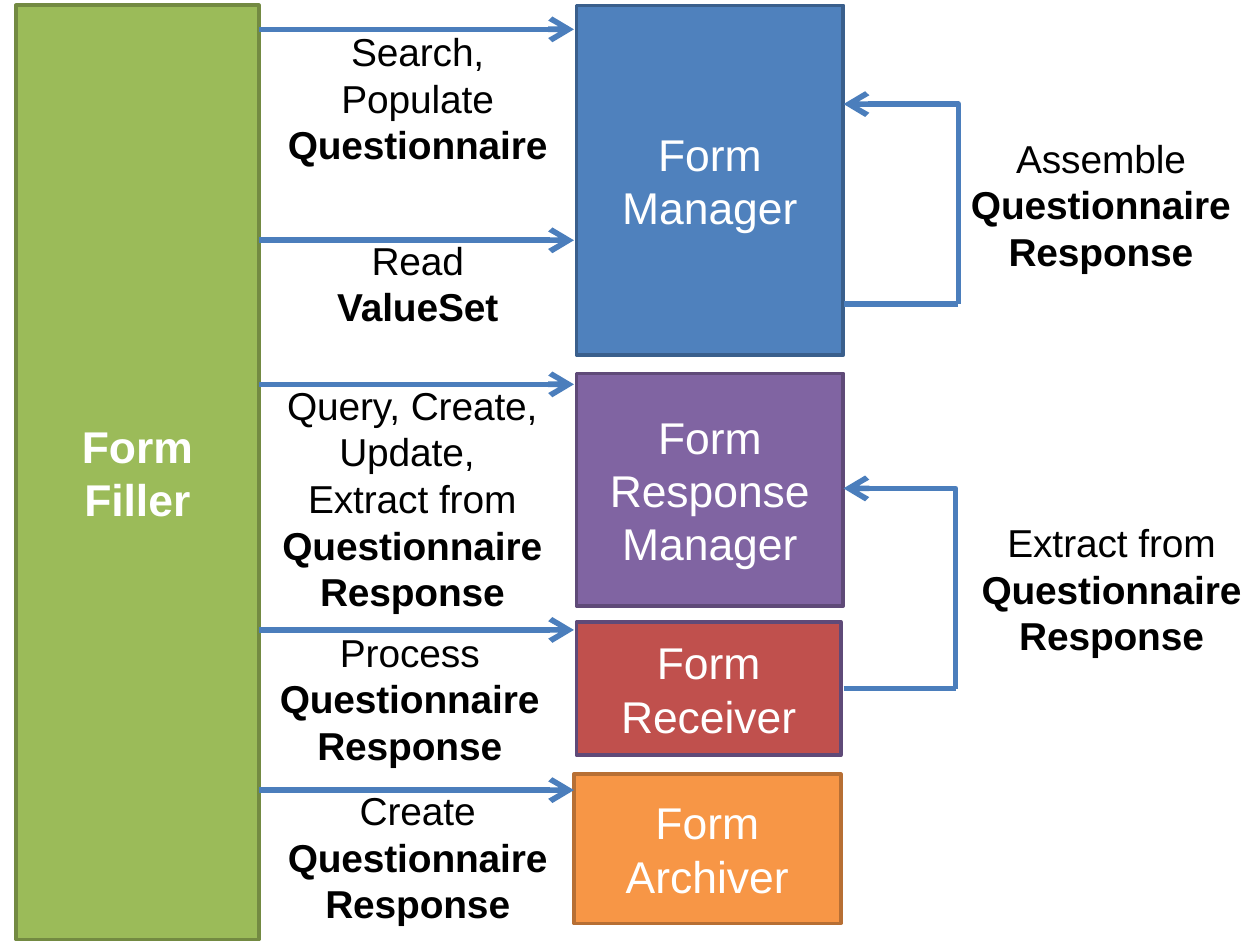
from dataclasses import dataclass

from lxml import etree
from pptx import Presentation
from pptx import util as u
from pptx.dml.color import RGBColor
from pptx.enum import shapes, text
from pptx.oxml.ns import qn


@dataclass(frozen=True)
class Theme:
    font: str = "Arial"
    box_size: float = 12
    label_size: float = 10.5
    box_line: float = 1
    flow_line: float = 1.5
    light: str = "FFFFFF"
    dark: str = "000000"
    flow: str = "4B7EBC"
    green: tuple = ("9BBB59", "738A42")
    blue: tuple = ("4F81BD", "3A5F8C")
    purple: tuple = ("8064A2", "5F4A78")
    red: tuple = ("C0504D", "5F4A78")
    orange: tuple = ("F79646", "B76F34")


class Diagram:
    def __init__(self, slide, theme):
        self.s, self.theme = slide, theme

    def frame(self, sp):
        """Apply the shared text frame format."""
        tf = sp.text_frame
        fmt = {"word_wrap": True, "vertical_anchor": text.MSO_ANCHOR.MIDDLE,
               "margin_left": u.Inches(0.07), "margin_right": u.Inches(0.07),
               "margin_top": u.Inches(0.04), "margin_bottom": u.Inches(0.04)}
        for name, value in fmt.items():
            setattr(tf, name, value)
        return tf

    def run(self, p, words, size, color, bold=False):
        p.alignment = text.PP_ALIGN.CENTER
        r = p.add_run()
        r.text = words
        fmt = {"name": self.theme.font, "size": u.Pt(size), "bold": bold}
        for name, value in fmt.items():
            setattr(r.font, name, value)
        r.font.color.rgb = RGBColor.from_string(color)

    def box(self, words, at, colors, bold=False):
        sp = self.s.shapes.add_shape(shapes.MSO_SHAPE.RECTANGLE, *map(u.Inches, at))
        sp.shadow.inherit = False
        fill, line = map(RGBColor.from_string, colors)
        sp.fill.solid()
        sp.fill.fore_color.rgb = fill
        sp.line.color.rgb = line
        sp.line.width = u.Pt(self.theme.box_line)
        p = self.frame(sp).paragraphs[0]
        self.run(p, words, self.theme.box_size, self.theme.light, bold)

    def label(self, action, resource, at, lead=None):
        """Write an action with its bold resource below, after an optional lead paragraph."""
        t = self.theme
        tf = self.frame(self.s.shapes.add_textbox(*map(u.Inches, at)))
        p = tf.paragraphs[0]
        if lead:
            self.run(p, lead, t.label_size, t.dark)
            p = tf.add_paragraph()
        self.run(p, action, t.label_size, t.dark)
        p.add_line_break()
        self.run(p, resource, t.label_size, t.dark, bold=True)

    def line(self, x1, y1, x2, y2, kind=shapes.MSO_CONNECTOR.STRAIGHT, arrow=True):
        sp = self.s.shapes.add_connector(kind, *map(u.Inches, (x1, y1, x2, y2)))
        sp.line.color.rgb = RGBColor.from_string(self.theme.flow)
        sp.line.width = u.Pt(self.theme.flow_line)
        if arrow:
            etree.SubElement(sp.line._get_or_add_ln(), qn("a:tailEnd"), type="arrow")
        etree.SubElement(sp._element.spPr, qn("a:effectLst"))
        return sp

    def loop(self, box_right, turn, bottom, top):
        """Lead out of a box at the bottom, then up and back in at the top."""
        self.line(box_right, bottom, turn, bottom, arrow=False)
        cx, cy = (box_right + turn) / 2, (bottom + top) / 2
        dx, dy = (bottom - top) / 2, (turn - box_right) / 2
        # Laid out sideways, then turned a quarter left about its centre
        sp = self.line(cx - dx, cy + dy, cx + dx, cy - dy, shapes.MSO_CONNECTOR.ELBOW)
        spPr = sp._element.spPr
        spPr.find(qn("a:xfrm")).set("rot", str(270 * 60000))
        spPr.find(qn("a:prstGeom")).set("prst", "bentConnector2")


def main():
    prs = Presentation()
    prs.slide_width, prs.slide_height = u.Inches(4.72), u.Inches(3.54)
    theme = Theme()
    d = Diagram(prs.slides.add_slide(prs.slide_layouts[6]), theme)
    response = "QuestionnaireResponse"

    # Actors
    d.box("Form Filler", (0.06, 0.02, 0.91, 3.5), theme.green, bold=True)
    for words, at, colors in (
        ("Form Manager", (2.16, 0.02, 1, 1.31), theme.blue),
        ("Form Response Manager", (2.16, 1.4, 1, 0.87), theme.purple),
        ("Form Receiver", (2.16, 2.33, 0.99, 0.5), theme.red),
        ("Form Archiver", (2.15, 2.9, 1, 0.56), theme.orange),
    ):
        d.box(words, at, colors)

    # Requests from the form filler
    for y in (0.11, 0.9, 1.44, 2.36, 2.96):
        d.line(0.97, y, 2.15, y)
    d.label("Search, Populate", "Questionnaire", (0.97, 0.02, 1.19, 0.69))
    d.label("Read", "ValueSet", (0.97, 0.84, 1.19, 0.44))
    d.label("Extract from", response, (0.95, 1.52, 1.19, 0.69),
            lead="Query, Create, Update, ")
    d.label("Process", response, (0.94, 2.27, 1.19, 0.69))
    d.label("Create", response, (0.97, 2.93, 1.19, 0.56))

    # Loops on the right
    for action, left, top, turn in (("Assemble", 3.54, 0.39, 3.59),
                                    ("Extract from", 3.58, 1.83, 3.58)):
        d.loop(3.16, turn, top + 0.75, top)
        d.label(action, response, (left, top, 1.17, 0.75))

    prs.save("out.pptx")


if __name__ == "__main__":
    main()
